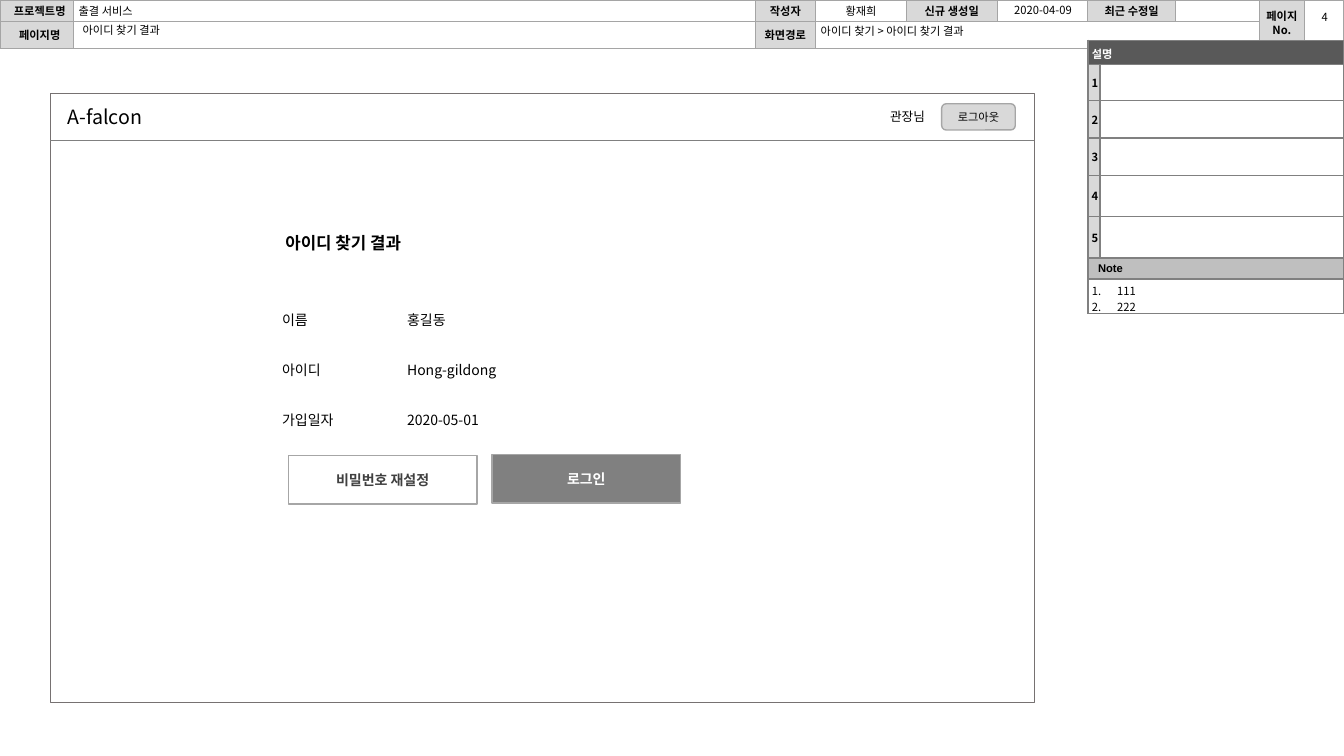
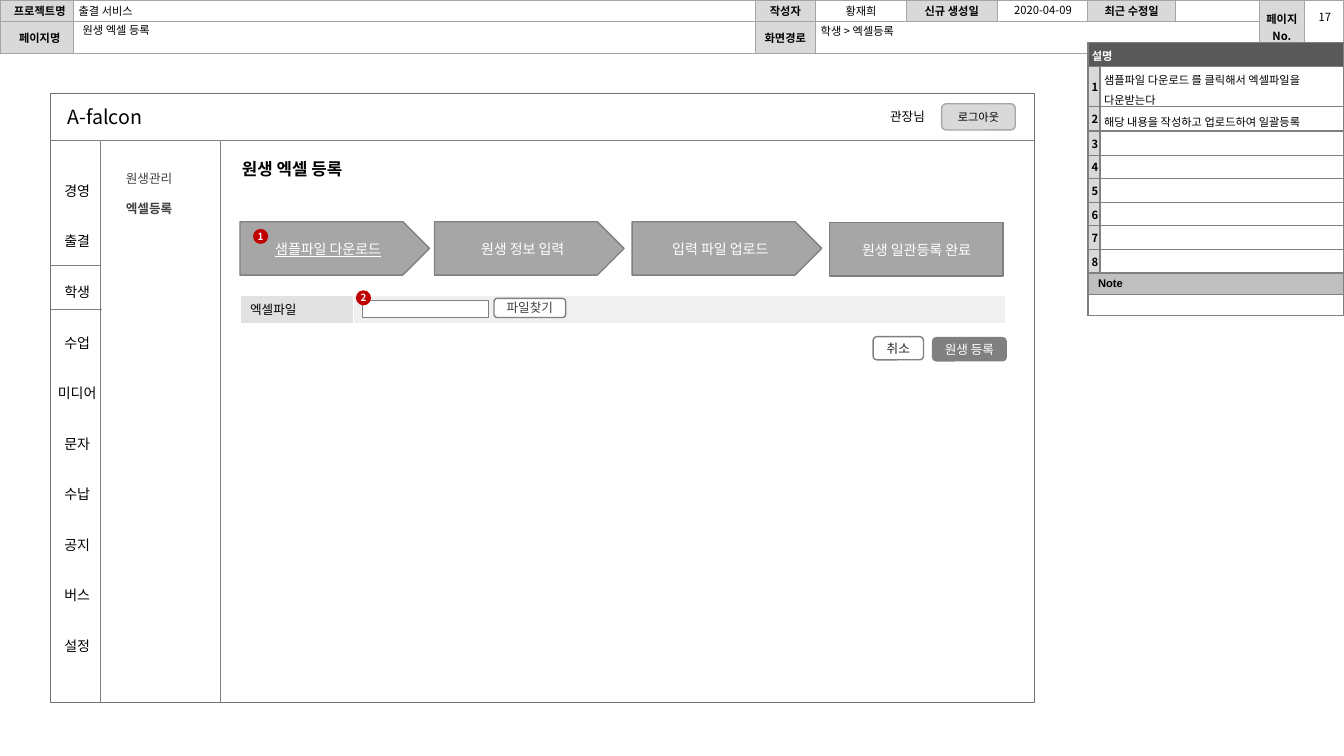
from lxml.etree import SubElement
from pptx import Presentation
from pptx.dml.color import RGBColor
from pptx.enum.shapes import MSO_CONNECTOR, MSO_SHAPE
from pptx.enum.text import MSO_ANCHOR, MSO_AUTO_SIZE, PP_ALIGN
from pptx.oxml.ns import qn
from pptx.util import Inches, Pt

FONT = "Noto Sans CJK KR"
COLORS = {
    "black": "000000", "white": "FFFFFF", "ink": "404040", "dark": "262626",
    "head": "595959", "frame": "767171", "gray": "808080", "mid": "A6A6A6",
    "grid": "A5A5A5", "note": "BFBFBF", "label": "D9D9D9", "field": "E1E1E1",
    "pale": "F0F0F0", "red": "C00000",
}
LEFT, CENTER = PP_ALIGN.LEFT, PP_ALIGN.CENTER
TOP, MIDDLE = MSO_ANCHOR.TOP, MSO_ANCHOR.MIDDLE
FRAME = (0.5, 0.93, 9.76, 6.04)
BAR = 0.46


def color(name):
    """Return the named colour."""
    return RGBColor.from_string(COLORS[name])


def write(frame, lines, size=8, ink="black", bold=False, align=LEFT, font=FONT,
          under=False, gap=0, pitch=None):
    """Write one run per paragraph into a text frame."""
    for index, line in enumerate(lines):
        para = frame.paragraphs[0] if index == 0 else frame.add_paragraph()
        para.alignment = align
        if pitch:
            para.line_spacing = pitch
        if index and gap:
            para.space_before = Pt(gap)
        run = para.add_run()
        run.text = line
        face = run.font
        face.name, face.size, face.bold = font, Pt(size), bold
        face.underline = under
        face.color.rgb = color(ink)
        SubElement(run.font._element, qn("a:ea")).set("typeface", font)


def inset(item, sides):
    """Set left, top, right and bottom margins of a frame or cell."""
    (item.margin_left, item.margin_top,
     item.margin_right, item.margin_bottom) = map(Inches, sides)


def label(slide, box, lines, sides=(0.1, 0.05, 0.1, 0.05), **style):
    """Add a text box."""
    frame = slide.shapes.add_textbox(*map(Inches, box)).text_frame
    frame.word_wrap = True
    inset(frame, sides)
    write(frame, lines, **style)


def block(slide, kind, box, fill=None, edge=None, width=1, text=None, pad=0.04, **style):
    """Add a preset shape with optional centred text."""
    shape = slide.shapes.add_shape(kind, *map(Inches, box))
    shape.shadow.inherit = False
    if fill:
        shape.fill.solid()
        shape.fill.fore_color.rgb = color(fill)
    else:
        shape.fill.background()
    if edge:
        shape.line.color.rgb = color(edge)
        shape.line.width = Pt(width)
    else:
        shape.line.fill.background()
    if text:
        frame = shape.text_frame
        frame.word_wrap = pad > 0
        frame.vertical_anchor = MIDDLE
        inset(frame, [pad] * 4)
        write(frame, [text], align=CENTER, **style)


def rule(slide, start, end, ink="gray"):
    """Draw a thin straight line."""
    line = slide.shapes.add_connector(
        MSO_CONNECTOR.STRAIGHT, *map(Inches, (*start, *end)))
    line.line.color.rgb = color(ink)
    line.line.width = Pt(0.5)
    SubElement(line._element.spPr, qn("a:effectLst"))


def grid(slide, left, top, cols, rows, edge):
    """Add a plain table with white cells and even borders."""
    shape = slide.shapes.add_table(
        len(rows), len(cols), *map(Inches, (left, top, sum(cols), sum(rows))))
    table = shape.table
    table.first_row = table.horz_banding = False
    for col, width in zip(table.columns, cols):
        col.width = Inches(width)
    for row, height in zip(table.rows, rows):
        row.height = Inches(height)
    for cell in table.iter_cells():
        props = cell._tc.get_or_add_tcPr()
        for side in ("lnL", "lnR", "lnT", "lnB"):
            line = SubElement(props, qn("a:" + side), w=str(Pt(1)))
            paint = SubElement(line, qn("a:solidFill"))
            SubElement(paint, qn("a:srgbClr"), val=COLORS[edge])
        inset(cell, [0] * 4)
        tint(cell, "white")
        SubElement(cell.text_frame.paragraphs[0]._p, qn("a:endParaRPr"), sz="800")
    return table


def tint(cell, fill):
    """Fill a table cell."""
    cell.fill.solid()
    cell.fill.fore_color.rgb = color(fill)


def put(cell, lines, fill="white", sides=(0, 0, 0, 0), anchor=MIDDLE, **style):
    """Fill a table cell and write its text."""
    tint(cell, fill)
    inset(cell, sides)
    cell.vertical_anchor = anchor
    write(cell.text_frame, lines, **style)


def header(slide, name, route, page, low, pitch=None):
    """Add the project strip along the top edge."""
    cols = [0.73, 6.76, 0.6, 0.9, 0.9, 0.9, 0.87, 0.83, 0.45, 0.39]
    table = grid(slide, 0, 0, cols, [0.21, low], "grid")
    for col in (8, 9):
        table.cell(0, col).merge(table.cell(1, col))
    table.cell(1, 3).merge(table.cell(1, 7))
    heads = [(0, 0, "프로젝트명", 0.06), (0, 2, "작성자", 0), (0, 4, "신규 생성일", 0),
             (0, 6, "최근 수정일", 0), (1, 0, "페이지명", 0.06), (1, 2, "화면경로", 0)]
    for row, col, text, pad in heads:
        put(table.cell(row, col), [text], "label", (pad, 0, 0, 0), bold=True, align=CENTER)
    put(table.cell(0, 8), ["페이지 No."], "label", bold=True, align=CENTER, pitch=pitch)
    put(table.cell(0, 1), ["출결 서비스"], sides=(0.05, 0, 0, 0))
    put(table.cell(0, 3), ["황재희"], align=CENTER)
    label(slide, (0.78, 0.19, 6.64, 0.21), [name], (0.04, 0.04, 0.04, 0.04))
    label(slide, (8.1, 0.2, 4.32, 0.21), [route], (0.04, 0.04, 0.04, 0.04))
    label(slide, (10, 0, 0.69, 0.19), ["2020-04-09"], (0, 0.03, 0, 0.04), align=CENTER)
    label(slide, (12.95, 0.01, 0.38, 0.29), [page], (0, 0.1, 0, 0.04), align=CENTER)


def guide(slide, top, rows, texts, notes, foot):
    """Add the description panel at the right edge."""
    table = grid(slide, 10.79, top, [0.12, 2.42], [0.24, *rows, 0.21, foot], "gray")
    last = len(rows) + 2
    for row in (0, last - 1, last):
        table.cell(row, 0).merge(table.cell(row, 1))
    put(table.cell(0, 0), ["설명"], "head", (0.04, 0.05, 0, 0), TOP, ink="white", bold=True)
    for row in range(1, last - 1):
        put(table.cell(row, 0), [str(row)], "label", (0.02, 0, 0, 0), bold=True, align=CENTER)
    for row, lines in enumerate(texts, 1):
        put(table.cell(row, 1), lines, sides=(0.04, 0.02, 0, 0), pitch=1.2)
    put(table.cell(last - 1, 0), ["Note"], "note", (0.1, 0, 0, 0), bold=True, font="Arial")
    if notes:
        cell = table.cell(last, 0)
        put(cell, notes, sides=(0.04, 0.03, 0, 0), anchor=TOP)
        for para in cell.text_frame.paragraphs:
            props = para._p.get_or_add_pPr()
            props.set("marL", str(Inches(0.25)))
            props.set("indent", str(-Inches(0.25)))
            SubElement(props, qn("a:buAutoNum"), type="arabicPeriod")


def window(slide, box):
    """Draw the app frame with its top bar."""
    left, top, width, height = box
    right = left + width
    block(slide, MSO_SHAPE.RECTANGLE, box, edge="frame")
    rule(slide, (left, top + BAR), (right, top + BAR))
    label(slide, (left + 0.07, top + 0.06, 1.5, 0.34), ["A-falcon"], size=14)
    label(slide, (right - 1.53, top + 0.1, 0.7, 0.25), ["관장님"], size=9)
    block(slide, MSO_SHAPE.ROUNDED_RECTANGLE, (right - 0.92, top + 0.1, 0.73, 0.26),
          "label", "mid", text="로그아웃")


def heading(slide, left, top, text):
    """Place and format the slide title."""
    title = slide.shapes.title
    title.left, title.top, title.width, title.height = map(Inches, (left, top, 3, 0.3))
    frame = title.text_frame
    frame.auto_size = MSO_AUTO_SIZE.NONE
    frame.vertical_anchor = TOP
    write(frame, [text], size=12, bold=True)


def result(slide, left, top):
    """Show the account found and its two buttons."""
    columns = [(0, ["이름", "아이디", "가입일자"]),
               (1.24, ["홍길동", "Hong-gildong", "2020-05-01"])]
    for shift, lines in columns:
        label(slide, (left + shift, top, 1.3, 1.33), lines, size=10, gap=23.9)
    buttons = [(0.16, 1.48, "비밀번호 재설정", "white", "ink"),
               (2.18, 1.47, "로그인", "gray", "white")]
    for shift, drop, text, fill, ink in buttons:
        block(slide, MSO_SHAPE.RECTANGLE, (left + shift, top + drop, 1.87, 0.48),
              fill, "mid", text=text, pad=0.1, size=10, ink=ink, bold=True)


def menu(slide, box):
    """Draw the two menu columns inside the app frame."""
    left, top, width, height = box
    bar, side = top + BAR, left + 0.5
    for spot in (side, left + 1.69):
        rule(slide, (spot, bar), (spot, top + height))
    for shift, drop in ((0, 1.7), (0.01, 2.14)):
        rule(slide, (side + shift, top + drop), (left + shift, top + drop))
    names = ["경영", "출결", "학생", "수업", "미디어", "문자", "수납", "공지", "버스", "설정"]
    label(slide, (left - 0.08, top + 0.83, 0.69, 5.12), names, size=10, align=CENTER, gap=24.1)
    for drop, text, bold in ((0.72, "원생관리", False), (1.01, "엑셀등록", True)):
        label(slide, (left + 0.65, top + drop, 0.94, 0.25), [text], size=9, ink="ink", bold=bold)


def steps(slide, left, top):
    """Draw the four upload steps."""
    plate, flat = MSO_SHAPE.PENTAGON, MSO_SHAPE.RECTANGLE
    items = [(plate, 0, 0, 1.88, "샘플파일 다운로드"), (plate, 1.93, 0, 1.88, "원생 정보 입력"),
             (plate, 3.89, 0, 1.88, "입력 파일 업로드"), (flat, 5.85, 0.01, 1.72, "원생 일관등록 완료")]
    for kind, shift, drop, width, text in items:
        block(slide, kind, (left + shift, top + drop, width, 0.53), "mid", "gray",
              text=text, pad=0.1, size=10, ink="white", under=shift == 0)


def upload(slide, left, top):
    """Add the file row and its buttons."""
    table = grid(slide, left, top, [1.13, 6.46], [0.28], "white")
    put(table.cell(0, 0), ["엑셀파일"], "field", (0.1, 0, 0, 0), size=9)
    tint(table.cell(0, 1), "pale")
    block(slide, MSO_SHAPE.RECTANGLE, (left + 1.21, top + 0.05, 1.25, 0.17),
          "white", "gray", 0.25)
    buttons = [(2.52, 0.03, 0.71, 0.19, "파일찾기", "white", "ink"),
               (6.28, 0.41, 0.5, 0.23, "취소", "white", "dark"),
               (6.87, 0.42, 0.73, 0.23, "원생 등록", "gray", "white")]
    for shift, drop, width, height, text, fill, ink in buttons:
        block(slide, MSO_SHAPE.ROUNDED_RECTANGLE, (left + shift, top + drop, width, height),
              fill, "gray", text=text, size=9, ink=ink)


def badge(slide, left, top, text):
    """Add a red number marker."""
    block(slide, MSO_SHAPE.OVAL, (left, top, 0.15, 0.15), "red", text=text,
          pad=0, size=7, ink="white", bold=True)


def found(slide):
    """Build the account lookup slide."""
    header(slide, "아이디 찾기 결과", "아이디 찾기 > 아이디 찾기 결과", "4", 0.27, Pt(9.5))
    guide(slide, 0.4, [0.36, 0.37, 0.37, 0.41, 0.41], [], ["111", "222"], 0.34)
    window(slide, FRAME)
    heading(slide, 2.73, 2.26, "아이디 찾기 결과")
    result(slide, 2.7, 3.04)


def enroll(slide):
    """Build the bulk registration slide."""
    header(slide, "원생 엑셀 등록", "학생 > 엑셀등록", "17", 0.32)
    texts = [["샘플파일 다운로드 를 클릭해서 엑셀파일을", "다운받는다"],
             ["해당 내용을 작성하고 업로드하여 일괄등록"]]
    guide(slide, 0.42, [0.4, 0.24] + [0.24, 0.23] * 3, texts, [], 0.21)
    window(slide, FRAME)
    menu(slide, FRAME)
    heading(slide, 2.3, 1.52, "원생 엑셀 등록")
    upload(slide, 2.38, 2.93)
    steps(slide, 2.38, 2.2)
    badge(slide, 2.51, 2.27, "1")
    badge(slide, 3.53, 2.88, "2")


def main():
    """Build and save the deck."""
    deck = Presentation()
    deck.slide_width, deck.slide_height = Inches(13.33), Inches(7.5)
    for build in (found, enroll):
        build(deck.slides.add_slide(deck.slide_layouts[5]))
    deck.save("out.pptx")


if __name__ == "__main__":
    main()
